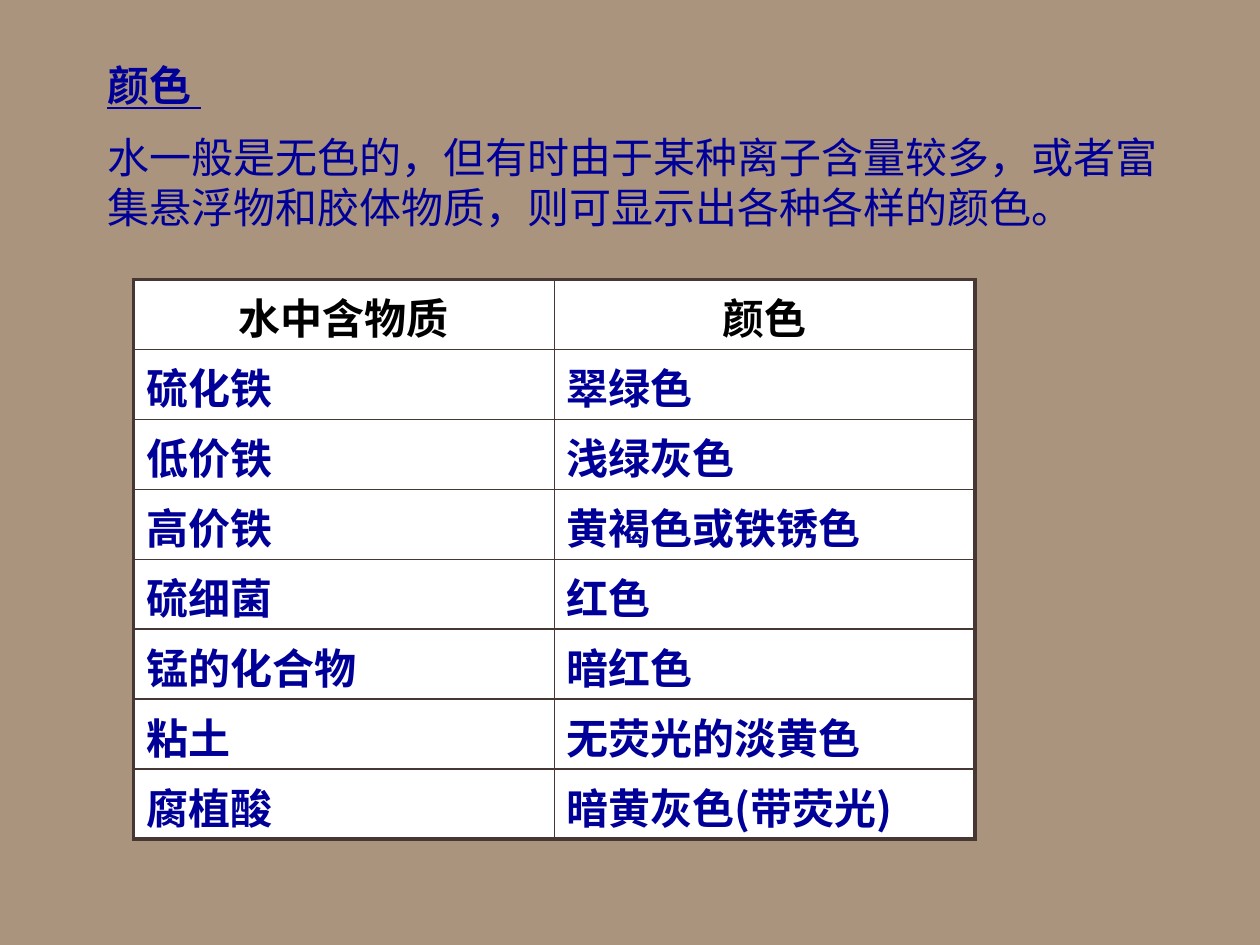
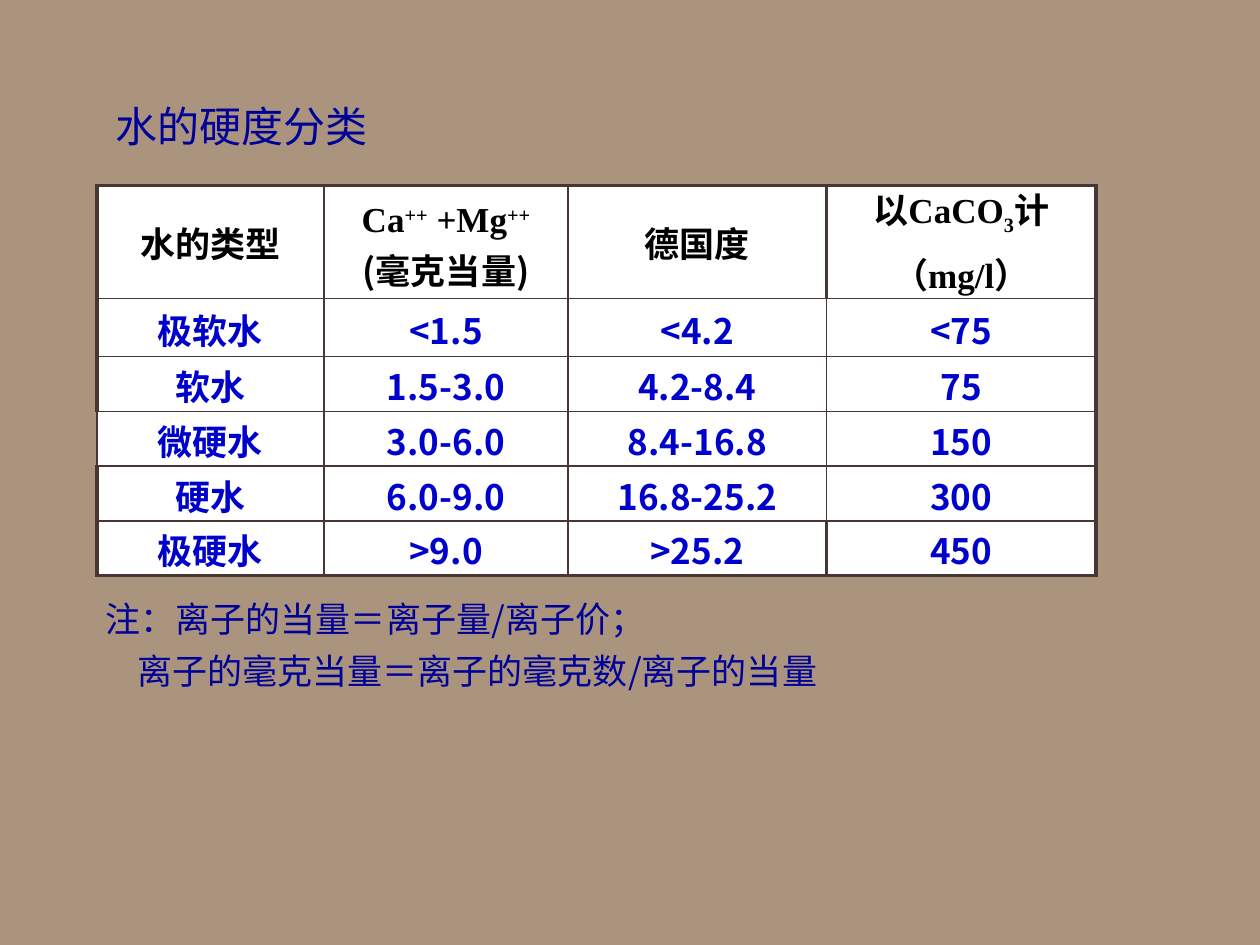
from pptx import Presentation
from pptx.dml.color import RGBColor
from pptx.enum.text import MSO_ANCHOR, MSO_AUTO_SIZE, PP_ALIGN
from pptx.oxml.ns import qn
from pptx.util import Inches, Pt
from lxml.etree import SubElement

CJK, LATIN = "Noto Sans CJK SC", "Times New Roman"
SAND, NAVY, BLUE = "AA947E", "000099", "0000CC"
BLACK, WHITE, BROWN = "000000", "FFFFFF", "463634"
THIN, MEDIUM, THICK = 1, 1.5, 2.25


def rgb(value):
    return RGBColor.from_string(value)


class Deck:
    """Holds the shared style and the slide being built."""

    def __init__(self):
        self.prs = Presentation()
        self.prs.slide_width, self.prs.slide_height = Inches(10), Inches(7.5)
        fill = self.prs.slide_master.background.fill
        fill.solid()
        fill.fore_color.rgb = rgb(SAND)
        self.slide = None

    def new_slide(self, layout):
        self.slide = self.prs.slides.add_slide(self.prs.slide_layouts.get_by_name(layout))

    def run(self, paragraph, text, size, color, bold=False, underline=False,
            latin=CJK, baseline=0):
        run = paragraph.add_run()
        run.text = text
        font = run.font
        font.size, font.bold, font.underline = Pt(size), bold, underline
        font.color.rgb = rgb(color)
        font.name = latin
        properties = run._r.get_or_add_rPr()
        SubElement(properties, qn("a:ea"), typeface=CJK)
        if baseline:
            properties.set("baseline", str(baseline * 1000))

    def place(self, shape, left, top, width, height):
        """Position a text shape and give it the common frame settings."""
        shape.left, shape.top = Inches(left), Inches(top)
        shape.width, shape.height = Inches(width), Inches(height)
        frame = shape.text_frame
        frame.word_wrap = True
        frame.auto_size = MSO_AUTO_SIZE.NONE
        frame.vertical_anchor = MSO_ANCHOR.TOP
        return frame

    def title(self, text, box, **style):
        paragraph = self.place(self.slide.shapes.title, *box).paragraphs[0]
        paragraph.alignment = PP_ALIGN.LEFT
        self.run(paragraph, text, 24, NAVY, **style)

    def body(self, text, box):
        paragraph = self.place(self.slide.placeholders[1], *box).paragraphs[0]
        properties = paragraph._p.get_or_add_pPr()
        properties.set("marL", "0")
        properties.set("indent", "0")
        SubElement(properties, qn("a:buNone"))
        paragraph.space_before = Pt(0)
        self.run(paragraph, text, 24, NAVY)

    def note(self, first, second, box):
        shape = self.slide.shapes.add_textbox(*map(Inches, box))
        frame = self.place(shape, *box)
        self.run(frame.paragraphs[0], first, 20, NAVY)
        continuation = frame.add_paragraph()
        continuation.space_before = Pt(6)
        continuation._p.get_or_add_pPr().set("marL", str(Inches(0.25)))
        self.run(continuation, second, 20, NAVY)

    def border(self, cell, widths):
        properties = cell._tc.get_or_add_tcPr()
        for index, (side, width) in enumerate(widths.items()):
            line = properties.makeelement(qn(f"a:ln{side}"), {"w": str(Pt(width))})
            fill = SubElement(line, qn("a:solidFill"))
            SubElement(fill, qn("a:srgbClr"), val=BROWN)
            properties.insert(index, line)

    def cell_text(self, cell, content, size, color, align, leading):
        """Content is a string, or a gap in points and paragraphs of (text, style) runs."""
        gap, paragraphs = (0, [[(content, {})]]) if isinstance(content, str) else content
        frame = cell.text_frame
        for index, runs in enumerate(paragraphs):
            paragraph = frame.add_paragraph() if index else frame.paragraphs[0]
            paragraph.alignment = align
            if leading:
                paragraph.line_spacing = Pt(leading)
            if index:
                paragraph.space_before = Pt(gap)
            for text, style in runs:
                self.run(paragraph, text, size, color, bold=True, **style)

    def table(self, rows, left, top, widths, heights, size, color,
              align=PP_ALIGN.LEFT, anchor=MSO_ANCHOR.TOP, leading=None,
              header_margin=0.05, exceptions=None):
        """Heavy frame and thin grid; exceptions maps (row, column, side) to a width."""
        exceptions = exceptions or {}
        table = self.slide.shapes.add_table(
            len(rows), len(widths), Inches(left), Inches(top),
            Inches(sum(widths)), Inches(sum(heights))).table
        table.first_row = table.horz_banding = False
        for column, width in zip(table.columns, widths):
            column.width = Inches(width)
        for row, height in zip(table.rows, heights):
            row.height = Inches(height)
        last_row, last_column = len(rows) - 1, len(widths) - 1
        for r, row in enumerate(rows):
            for c, content in enumerate(row):
                cell = table.cell(r, c)
                cell.fill.solid()
                cell.fill.fore_color.rgb = rgb(WHITE)
                cell.vertical_anchor = anchor
                cell.margin_top = Inches(0.05 if r else header_margin)
                cell.margin_bottom = Inches(0)
                on_frame = {"L": c == 0, "R": c == last_column,
                            "T": r == 0, "B": r == last_row}
                self.border(cell, {
                    side: exceptions.get((r, c, side), THICK if outer else THIN)
                    for side, outer in on_frame.items()})
                self.cell_text(cell, content, size, color if r else BLACK,
                               align if r else PP_ALIGN.CENTER, leading)


def colour_slide(deck):
    deck.new_slide("Title and Content")
    deck.title("颜色 ", (0.75, 0.42, 8.67, 0.5), bold=True, underline=True)
    deck.body("水一般是无色的，但有时由于某种离子含量较多，或者富集悬浮物和胶体物质，"
              "则可显示出各种各样的颜色。", (0.75, 0.99, 8.67, 0.94))
    substances = [
        ("水中含物质", "颜色"),
        ("硫化铁", "翠绿色"),
        ("低价铁", "浅绿灰色"),
        ("高价铁", "黄褐色或铁锈色"),
        ("硫细菌", "红色"),
        ("锰的化合物", "暗红色"),
        ("粘土", "无荧光的淡黄色"),
        ("腐植酸", "暗黄灰色(带荧光)"),
    ]
    deck.table(substances, 1.06, 2.22, [3.34] * 2, [4.44 / 8] * 8, 24, NAVY)


def hardness_slide(deck):
    deck.new_slide("Title Only")
    deck.title("水的硬度分类", (0.82, 0.75, 4.42, 0.5))
    roman = {"latin": LATIN}
    raised, lowered = {**roman, "baseline": 30}, {**roman, "baseline": -25}
    ions = (4, [[("Ca", roman), ("++", raised), (" +Mg", roman), ("++", raised)],
                [("(毫克当量)", {})]])
    carbonate = (8, [[("以", {}), ("CaCO", roman), ("3", lowered), ("计", roman)],
                     [("（mg/l）", roman)]])
    classes = [
        ("水的类型", ions, "德国度", carbonate),
        ("极软水", "<1.5", "<4.2", "<75"),
        ("软水", "1.5-3.0", "4.2-8.4", "75"),
        ("微硬水", "3.0-6.0", "8.4-16.8", "150"),
        ("硬水", "6.0-9.0", "16.8-25.2", "300"),
        ("极硬水", ">9.0", ">25.2", "450"),
    ]
    exceptions = {(r, c, side): THICK for r in (0, 5) for c, side in ((2, "R"), (3, "L"))}
    exceptions[3, 0, "L"] = MEDIUM
    deck.table(classes, 0.77, 1.47, [1.8, 1.94, 2.05, 2.14], [0.9, 0.46] + [1.74 / 4] * 4,
               20, BLUE, PP_ALIGN.CENTER, MSO_ANCHOR.MIDDLE, leading=27,
               header_margin=0.03, exceptions=exceptions)
    deck.note("注：离子的当量＝离子量/离子价；", "离子的毫克当量＝离子的毫克数/离子的当量",
              (0.74, 4.69, 8.67, 0.86))


def main():
    deck = Deck()
    colour_slide(deck)
    hardness_slide(deck)
    deck.prs.save("out.pptx")


if __name__ == "__main__":
    main()
